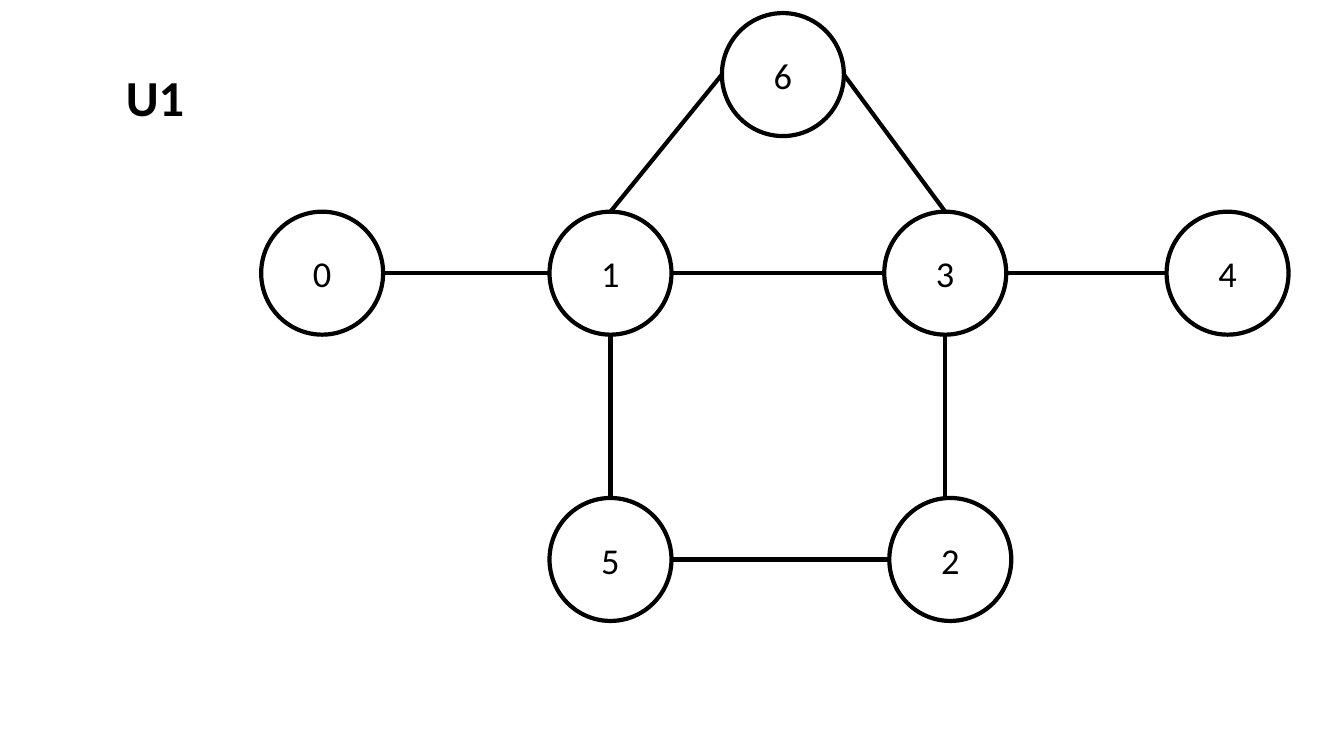
from pptx import Presentation
from pptx.dml.color import RGBColor
from pptx.enum import shapes, text
from pptx.oxml.ns import qn
from pptx.util import Inches, Pt

COLORS = {"ink": "000000", "paper": "FFFFFF"}
FONT = "Calibri"
NODE_W, NODE_H = 1.21, 1.22
TOP, MIDDLE, BOTTOM = 0.13, 2.1, 4.94

# Label: left and top of each node
NODES = {
    "0": (2.59, MIDDLE),
    "1": (5.45, MIDDLE),
    "2": (8.82, BOTTOM),
    "3": (8.77, MIDDLE),
    "5": (5.45, BOTTOM),
    "4": (11.57, MIDDLE),
    "6": (7.16, TOP),
}

# Start node and side, end node and side
EDGES = [
    ("0", "right", "1", "left"),
    ("1", "right", "3", "left"),
    ("3", "right", "4", "left"),
    ("1", "top", "6", "left"),
    ("3", "top", "6", "right"),
    ("1", "bottom", "5", "top"),
    ("3", "bottom", "2", "top"),
    ("5", "right", "2", "left"),
]

# Side: share of the node's width and height
SIDES = {"top": (0.5, 0), "left": (0, 0.5), "bottom": (0.5, 1), "right": (1, 0.5)}


def rgb(name):
    return RGBColor.from_string(COLORS[name])


def write(tf, content, align, **font):
    p = tf.paragraphs[0]
    p.alignment = align
    r = p.add_run()
    r.text = content
    r.font.color.rgb = rgb("ink")
    for key, value in {"name": FONT, **font}.items():
        setattr(r.font, key, value)


def draw_line(line):
    line.color.rgb = rgb("ink")
    line.width = Pt(3)


def add_node(slide, label, left, top):
    sp = slide.shapes.add_shape(
        shapes.MSO_SHAPE.OVAL,
        Inches(left), Inches(top), Inches(NODE_W), Inches(NODE_H))
    sp.shadow.inherit = False
    sp.fill.background()
    draw_line(sp.line)
    sp.text_frame.vertical_anchor = text.MSO_ANCHOR.MIDDLE
    write(sp.text_frame, label, text.PP_ALIGN.CENTER, size=Pt(26))


def side_point(label, side):
    left, top = NODES[label]
    across, down = SIDES[side]
    return left + across * NODE_W, top + down * NODE_H


def add_edge(slide, start, start_side, end, end_side):
    x1, y1 = side_point(start, start_side)
    x2, y2 = side_point(end, end_side)
    if start_side == "bottom":  # downward edges stay vertical
        x2 = x1
    cxn = slide.shapes.add_connector(
        shapes.MSO_CONNECTOR.STRAIGHT,
        Inches(x1), Inches(y1), Inches(x2), Inches(y2))
    draw_line(cxn.line)
    sp_pr = cxn._element.spPr
    sp_pr.append(sp_pr.makeelement(qn("a:effectLst"), {}))


def add_title(slide, content):
    box = slide.shapes.add_textbox(
        Inches(1.15), Inches(0.61), Inches(1.9), Inches(0.71))
    tf = box.text_frame
    tf.word_wrap = True
    tf.auto_size = text.MSO_AUTO_SIZE.SHAPE_TO_FIT_TEXT
    write(tf, content, text.PP_ALIGN.LEFT, size=Pt(36), bold=True)


def main():
    prs = Presentation()
    prs.slide_width, prs.slide_height = Inches(13.33), Inches(7.5)
    slide = prs.slides.add_slide(prs.slide_layouts[6])
    slide.background.fill.solid()
    slide.background.fill.fore_color.rgb = rgb("paper")

    # Graph
    for label, (left, top) in NODES.items():
        add_node(slide, label, left, top)
    for edge in EDGES:
        add_edge(slide, *edge)

    # Graph name
    add_title(slide, "U1")

    prs.save("out.pptx")


if __name__ == "__main__":
    main()
